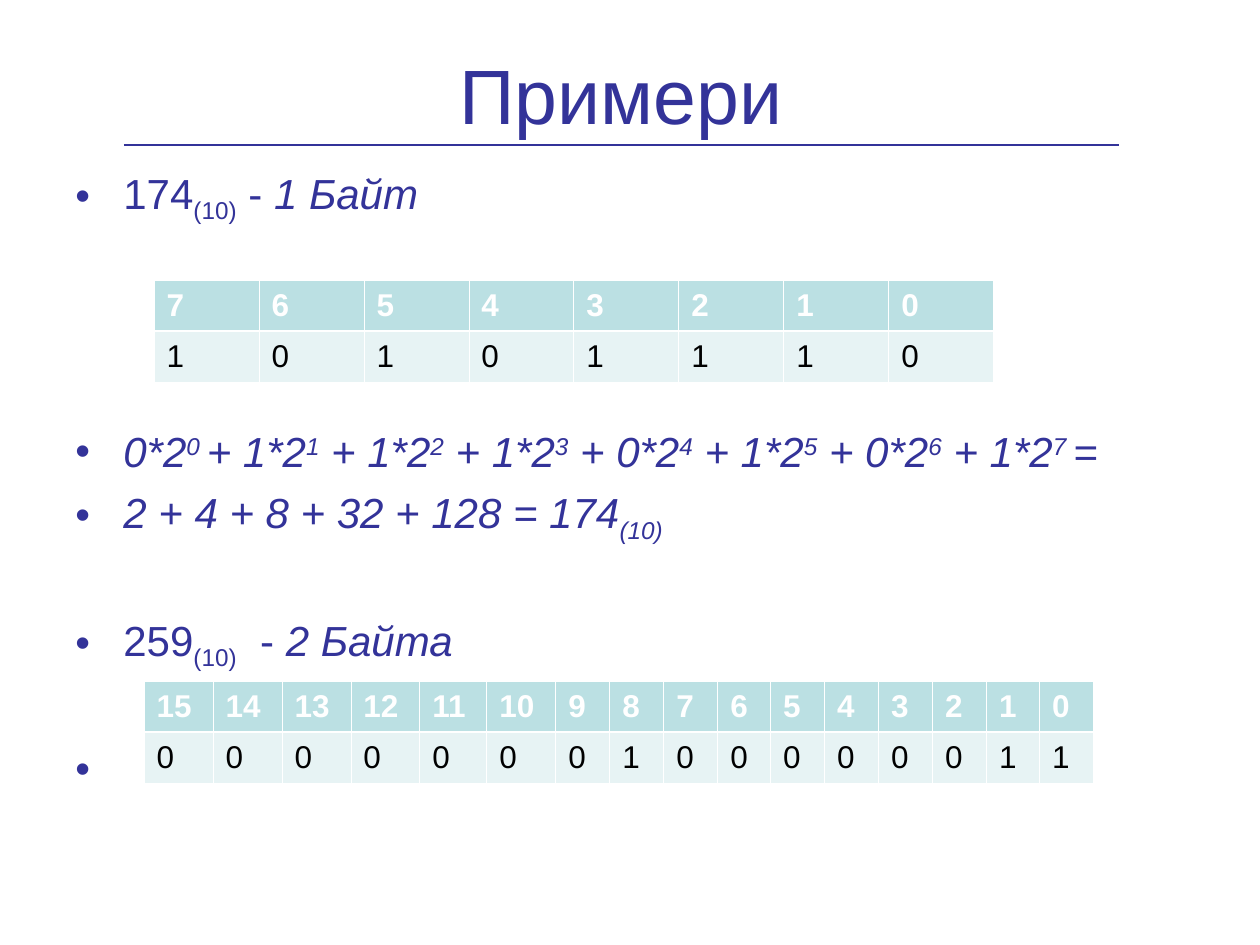
from dataclasses import dataclass

from lxml import etree
from pptx import Presentation
from pptx import util as u
from pptx.dml.color import RGBColor
from pptx.enum import shapes, text
from pptx.oxml import ns

EMU_PER_PX = 914400 // 126
FONT = "Arial"
COLORS = {"ink": "333399", "header": "BBE0E3", "row": "E7F3F4", "white": "FFFFFF", "black": "000000"}
SUBSCRIPT, SUPERSCRIPT = -25000, 30000


@dataclass(frozen=True)
class Run:
    wording: str
    italic: bool = False
    baseline: int = 0


@dataclass(frozen=True)
class Line:
    runs: list[Run]
    space_before: float = 6
    bulleted: bool = True


@dataclass(frozen=True)
class BitTable:
    left: int
    top: int
    widths: list[int]
    bits: str


def px(length: int) -> int:
    return length * EMU_PER_PX


def color(name: str) -> RGBColor:
    return RGBColor.from_string(COLORS[name])


def set_font(font, size: int, color_name: str) -> None:
    font.name = FONT
    font.size = u.Pt(size)
    font.color.rgb = color(color_name)


def add_title(slide, wording: str) -> None:
    title = slide.shapes.title
    title.left, title.top, title.width, title.height = map(px, (54, 26, 1134, 135))
    title.text_frame.text = wording
    title.text_frame.vertical_anchor = text.MSO_ANCHOR.MIDDLE
    paragraph = title.text_frame.paragraphs[0]
    paragraph.alignment = text.PP_ALIGN.CENTER
    set_font(paragraph.font, 44, "ink")


def add_rule(slide) -> None:
    rule = slide.shapes.add_connector(shapes.MSO_CONNECTOR.STRAIGHT, px(124), px(145), px(1119), px(145))
    rule.line.color.rgb = color("ink")
    rule.line.width = u.Pt(1.5)
    etree.SubElement(rule._element.spPr, ns.qn("a:effectLst"))


def add_bullet(paragraph) -> None:
    properties = paragraph._p.get_or_add_pPr()
    properties.set("marL", str(px(48)))
    properties.set("indent", str(-px(48)))
    bullet_color = etree.SubElement(properties, ns.qn("a:buClr"))
    etree.SubElement(bullet_color, ns.qn("a:srgbClr"), val=COLORS["ink"])
    etree.SubElement(properties, ns.qn("a:buFont"), typeface=FONT)
    etree.SubElement(properties, ns.qn("a:buChar"), char="•")


def add_body(slide, lines: list[Line]) -> None:
    body = slide.shapes.add_textbox(px(63), px(161), px(1134), px(728))
    frame = body.text_frame
    frame.word_wrap = True
    for index, line in enumerate(lines):
        paragraph = frame.add_paragraph() if index else frame.paragraphs[0]
        if line.bulleted:
            add_bullet(paragraph)
        if index:
            paragraph.space_before = u.Pt(line.space_before)
        set_font(paragraph.font, 24, "ink")
        for part in line.runs:
            run = paragraph.add_run()
            run.text = part.wording
            run.font.italic = part.italic
            if part.baseline:
                run.font._element.set("baseline", str(part.baseline))


def set_border(cell, side: str, points: float) -> None:
    border = etree.SubElement(cell._tc.get_or_add_tcPr(), ns.qn(f"a:ln{side}"), w=str(u.Pt(points)))
    fill = etree.SubElement(border, ns.qn("a:solidFill"))
    etree.SubElement(fill, ns.qn("a:srgbClr"), val=COLORS["white"])


def add_bit_table(slide, spec_table: BitTable) -> None:
    count = len(spec_table.bits)
    row_height = 51
    frame = slide.shapes.add_table(
        2, count, px(spec_table.left), px(spec_table.top), px(sum(spec_table.widths)), px(2 * row_height)
    )
    table = frame.table
    table.horz_banding = False
    for row in table.rows:
        row.height = px(row_height)
    for index, width in enumerate(spec_table.widths):
        table.columns[index].width = px(width)
        for row, wording in enumerate((str(count - 1 - index), spec_table.bits[index])):
            is_header = row == 0
            cell = table.cell(row, index)
            for side in "LRTB":
                set_border(cell, side, 1.47 if side == ("B" if is_header else "T") else 0.45)
            cell.fill.solid()
            cell.fill.fore_color.rgb = color("header" if is_header else "row")
            cell.vertical_anchor = text.MSO_ANCHOR.MIDDLE
            cell.text_frame.text = wording
            paragraph = cell.text_frame.paragraphs[0]
            set_font(paragraph.font, 18, "white" if is_header else "black")
            paragraph.font.bold = is_header


def power_sum(bits: str) -> list[Run]:
    runs = []
    last = len(bits) - 1
    for power, bit in enumerate(reversed(bits)):
        lead = "" if power == 0 else "+ " if power == 1 else " + "
        gap = " " if power in (0, last) else ""
        runs += [Run(f"{lead}{bit}*2", True), Run(f"{power}{gap}", True, SUPERSCRIPT)]
    return runs + [Run("=", True)]


def main() -> None:
    presentation = Presentation()
    presentation.slide_width = px(1260)
    presentation.slide_height = px(945)
    slide = presentation.slides.add_slide(presentation.slide_layouts[5])
    byte = BitTable(154, 280, [105] * 8, "10101110")
    two_bytes = BitTable(144, 681, [69] * 4 + [67, 69] + [54, 54, 54, 53, 54] * 2, "0000000100000011")
    lines = [
        Line([Run("174"), Run("(10)", baseline=SUBSCRIPT), Run(" - "), Run("1 Байт", True)]),
        Line(power_sum(byte.bits), 115),
        Line([Run("2 + 4 + 8 + 32 + 128 = 174", True), Run("(10)", True, SUBSCRIPT)]),
        Line([Run("259"), Run("(10)", baseline=SUBSCRIPT), Run("  - "), Run("2 Байта", True)], 40),
        Line([Run("•")], 40, bulleted=False),
    ]
    add_title(slide, "Примери")
    add_rule(slide)
    add_body(slide, lines)
    for table in (byte, two_bytes):
        add_bit_table(slide, table)
    presentation.save("out.pptx")


if __name__ == "__main__":
    main()
